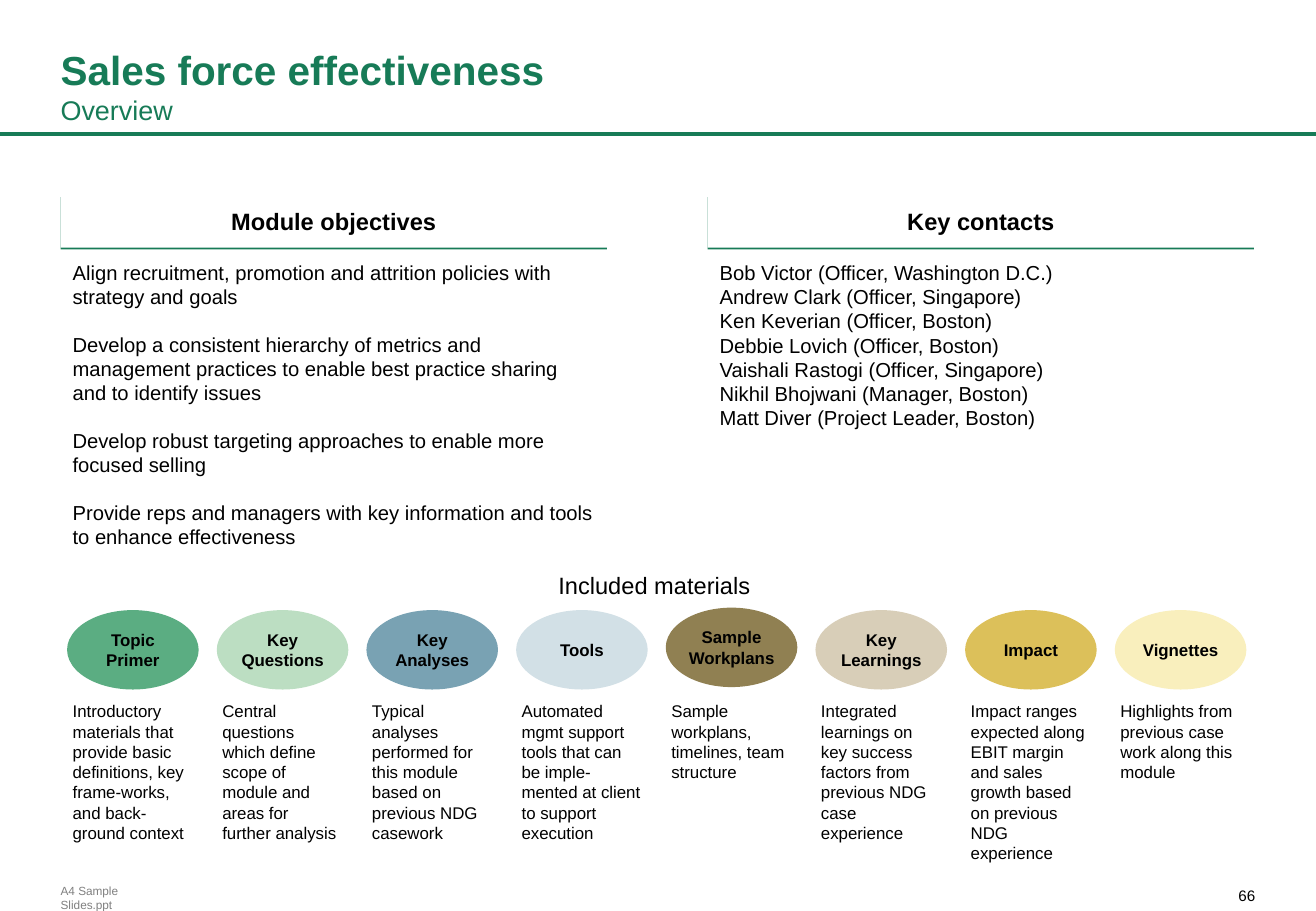
from dataclasses import dataclass

from lxml import etree
from pptx import Presentation
from pptx.dml.color import RGBColor
from pptx.enum import shapes, text
from pptx.oxml import ns
from pptx.util import Inches, Pt


@dataclass(frozen=True)
class Theme:
    font: str = "Arial"
    green: str = "177B57"
    black: str = "000000"
    grey: str = "808080"
    white: str = "FFFFFF"
    title: int = 24
    subtitle: int = 16
    heading: int = 14
    body: int = 12
    small: int = 10
    number: int = 9
    footer: int = 7
    materials: tuple = ("5BAD82", "BCDEC2", "79A2B3", "D2E0E6",
                        "908052", "D8CEB8", "DCC05A", "F9EFBD")


theme = Theme()
LEFT, TOP = text.PP_ALIGN.LEFT, text.MSO_ANCHOR.TOP
CENTER, MIDDLE = text.PP_ALIGN.CENTER, text.MSO_ANCHOR.MIDDLE
BOTTOM = text.MSO_ANCHOR.BOTTOM


def write(sp, *lines, size=theme.small, bold=False, color=theme.black,
          align=LEFT, anchor=TOP, inset=(0.1, 0.1), wrap=True, gap=0):
    tf = sp.text_frame
    tf.word_wrap = wrap
    tf.vertical_anchor = anchor
    tf.margin_left = tf.margin_right = Inches(inset[0])
    tf.margin_top = tf.margin_bottom = Inches(inset[1])
    for i, line in enumerate(lines):
        p = tf.add_paragraph() if i else tf.paragraphs[0]
        p.alignment = align
        if i and gap:
            p.space_before = Pt(gap)
        r = p.add_run()
        r.text = line
        r.font.name = theme.font
        r.font.size = Pt(size)
        r.font.bold = bold
        r.font.color.rgb = RGBColor.from_string(color)
    return tf


def box(left, top, width, height):
    return s.shapes.add_textbox(Inches(left), Inches(top), Inches(width), Inches(height))


prs = Presentation()
prs.slide_width, prs.slide_height = Inches(10.84), Inches(7.5)
s = prs.slides.add_slide(prs.slide_layouts[6])

write(box(10.13, 7.3, 0.21, 0.15), "66", size=theme.number,
      align=text.PP_ALIGN.RIGHT, inset=(0, 0), wrap=False)
write(box(0.5, 7.33, 0.92, 0.12), "A4 Sample Slides.ppt", size=theme.footer,
      color=theme.grey, anchor=MIDDLE, inset=(0, 0), wrap=False)

rule = s.shapes.add_connector(shapes.MSO_CONNECTOR.STRAIGHT,
                              0, Inches(1.1), prs.slide_width, Inches(1.1))
rule.line.color.rgb = RGBColor.from_string(theme.green)
rule.line.width = Pt(2.25)
etree.SubElement(rule._element.spPr, ns.qn("a:effectLst"))

tf = write(box(0.5, 0.18, 9.83, 0.91), "Sales force effectiveness", "Overview",
           size=theme.title, bold=True, color=theme.green, anchor=BOTTOM, inset=(0, 0.05))
subtitle = tf.paragraphs[1].runs[0]
subtitle.font.size = Pt(theme.subtitle)
subtitle.font.bold = False

panels = [
    (0.5, "Module objectives", 13.8, [
        "Align recruitment, promotion and attrition policies with strategy and goals",
        "Develop a consistent hierarchy of metrics and management practices to enable "
        "best practice sharing and to identify issues",
        "Develop robust targeting approaches to enable more focused selling",
        "Provide reps and managers with key information and tools to enhance effectiveness",
    ]),
    (5.83, "Key contacts", 0, [
        "Bob Victor (Officer, Washington D.C.)",
        "Andrew Clark (Officer, Singapore)",
        "Ken Keverian (Officer, Boston)",
        "Debbie Lovich (Officer, Boston)",
        "Vaishali Rastogi (Officer, Singapore)",
        "Nikhil Bhojwani (Manager, Boston)",
        "Matt Diver (Project Leader, Boston)",
    ]),
]
for left, heading, gap, lines in panels:
    sp = s.shapes.add_shape(shapes.MSO_SHAPE.RECTANGLE,
                            Inches(left), Inches(1.61), Inches(4.5), Inches(0.43))
    sp.fill.solid()
    sp.fill.fore_color.rgb = RGBColor.from_string(theme.white)
    sp.line.fill.background()
    sp.shadow.inherit = False
    effects = sp._element.spPr.find(ns.qn("a:effectLst"))
    shadow = etree.SubElement(effects, ns.qn("a:outerShdw"), blurRad="0", dist=str(Pt(1)),
                              dir="5400000", algn="ctr", rotWithShape="0")
    etree.SubElement(shadow, ns.qn("a:srgbClr"), val=theme.green)
    write(sp, heading, size=theme.heading, bold=True, align=CENTER, anchor=BOTTOM)
    write(box(left, 2.04, 4.5, 2.62), *lines, size=theme.body, gap=gap)

write(box(4.23, 4.65, 2.32, 0.33), "Included materials", size=theme.heading,
      align=CENTER, anchor=MIDDLE, inset=(0.09, 0.04), wrap=False)

materials = [
    ("Topic Primer", "Introductory materials that provide basic definitions, "
                     "key frame-works, and back-ground context"),
    ("Key Questions", "Central questions which define scope of module "
                      "and areas for further analysis"),
    ("Key Analyses", "Typical analyses performed for this module "
                     "based on previous NDG casework"),
    ("Tools", "Automated mgmt support tools that can be imple-mented "
              "at client to support execution"),
    ("Sample Workplans", "Sample workplans, timelines, team structure"),
    ("Key Learnings", "Integrated learnings on key success factors "
                      "from previous NDG case experience"),
    ("Impact", "Impact ranges expected along EBIT margin and sales growth "
               "based on previous NDG experience"),
    ("Vignettes", "Highlights from previous case work along this module"),
]
pitch = (9.13 - 0.5) / (len(materials) - 1)
for i, ((name, detail), color) in enumerate(zip(materials, theme.materials)):
    left = 0.5 + i * pitch
    top = 5.01 if name == "Sample Workplans" else 5.03
    sp = s.shapes.add_shape(shapes.MSO_SHAPE.OVAL, Inches(left + 0.06), Inches(top),
                            Inches(1.07), Inches(0.64))
    sp.fill.solid()
    sp.fill.fore_color.rgb = sp.line.color.rgb = RGBColor.from_string(color)
    sp.line.width = Pt(1)
    sp.shadow.inherit = False
    write(sp, name, bold=True, align=CENTER, anchor=MIDDLE, inset=(0, 0.04))
    write(box(left, 5.67, 1.18, 1.42), detail)

prs.save("out.pptx")
